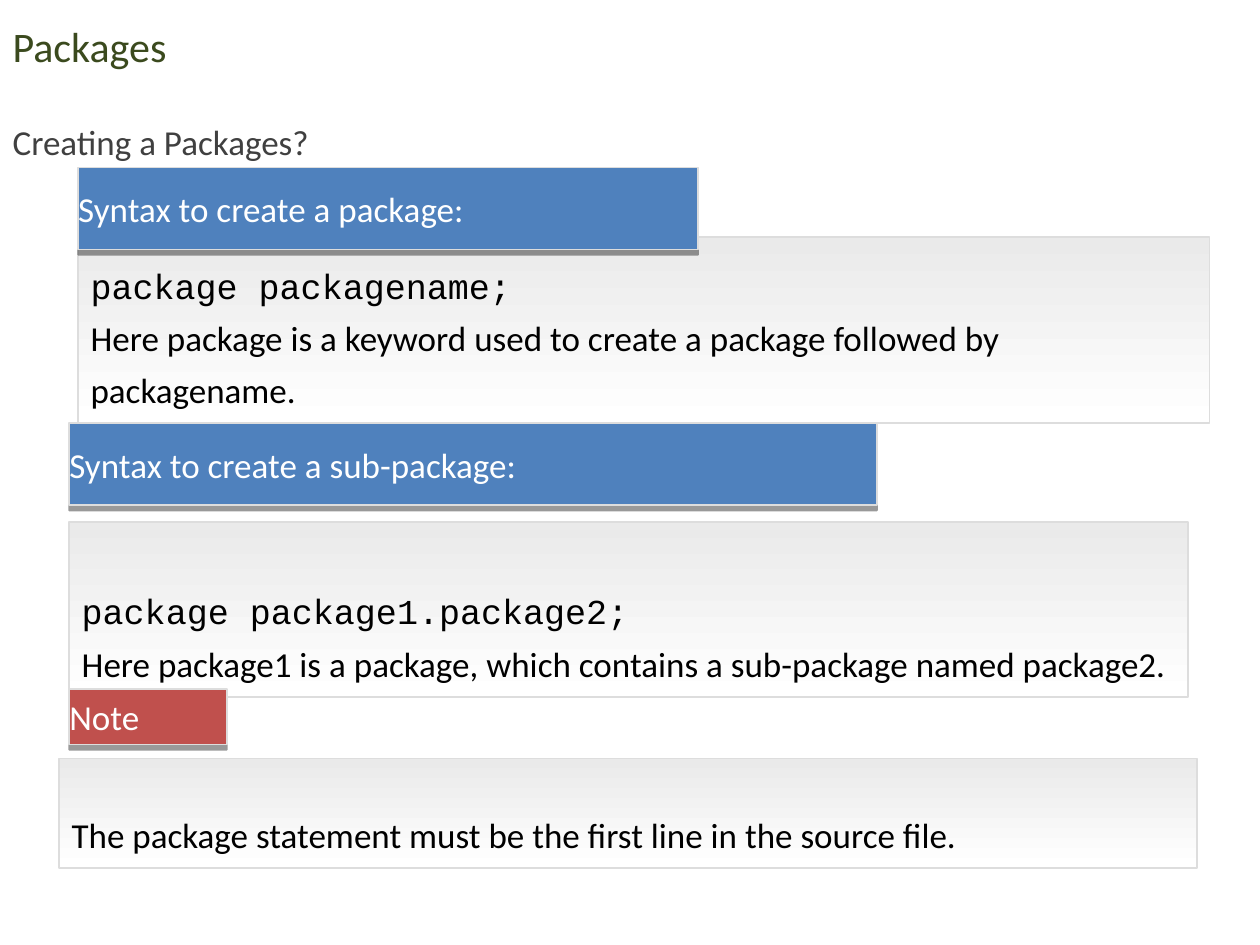
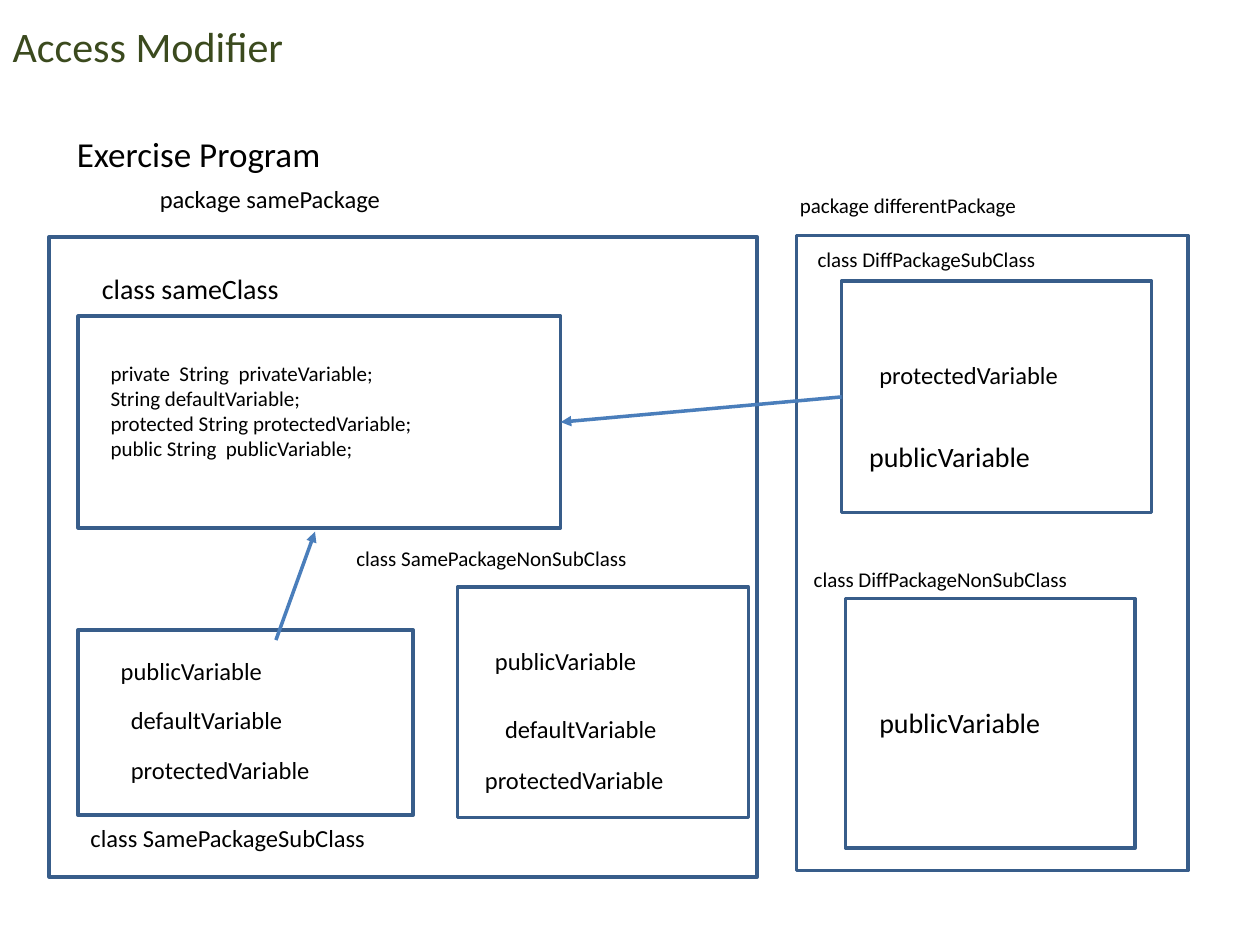
from pptx import Presentation
from pptx.dml.color import RGBColor as Rgb
from pptx.enum.shapes import MSO_CONNECTOR as Link, MSO_SHAPE as Form
from pptx.enum.text import MSO_ANCHOR as Anchor, MSO_AUTO_SIZE as Fit, PP_ALIGN as Align
from pptx.oxml import parse_xml
from pptx.oxml.ns import nsdecls
from pptx.util import Inches, Pt

COLS, ROWS = 100, 75
WIDE, HIGH = Inches(10), Inches(7.5)
SANS, MONO = "Calibri", "Courier New"
HUES = {
    "title": "3B4A1E", "head": "404040", "text": "000000", "white": "FFFFFF",
    "blue": "4F81BD", "red": "C0504D", "top": "EAEAEA", "edge": "DDDDDD",
    "frame": "385D8A", "arrow": "4A7EBB",
}


def hue(name):
    """Return a named colour."""
    return Rgb.from_string(HUES[name])


def grid(x, y, *size):
    """Turn columns and rows into lengths."""
    spots = (x, y, *size)
    units = (WIDE / COLS, HIGH / ROWS) * 2
    return [round(n * unit) for n, unit in zip(spots, units)]


def mark(node, body):
    """Append a drawing element given as XML."""
    node.append(parse_xml(body.replace(">", f" {nsdecls('a')}>", 1)
                          if not body.endswith("/>") or body.count("<") > 1
                          else body.replace("/>", f" {nsdecls('a')}/>")))


def write(shape, lines, size, color="text", anchor=Anchor.TOP, pad=None, lead=None):
    """Fill a shape with lines, each a text or a text and its font."""
    frame = shape.text_frame
    frame.word_wrap = True
    frame.auto_size = Fit.NONE
    frame.vertical_anchor = anchor
    if pad is not None:
        frame.margin_left = frame.margin_right = Inches(pad)
        frame.margin_top = frame.margin_bottom = Inches(pad)
    for i, line in enumerate(lines):
        text, face = (line, SANS) if isinstance(line, str) else line
        para = frame.add_paragraph() if i else frame.paragraphs[0]
        para.alignment = Align.LEFT
        if lead:
            para.line_spacing = lead
        run = para.add_run()
        run.text = text
        run.font.name, run.font.size = face, Pt(size)
        run.font.color.rgb = hue(color)
    return frame.paragraphs[0]


def page(deck, title, spot, head, area, color, lead=None):
    """Add a slide with its title and a plain heading."""
    slide = deck.slides.add_slide(deck.slide_layouts[1])
    name, body = slide.placeholders
    name.left, name.top, name.width, name.height = grid(*spot)
    body.left, body.top, body.width, body.height = grid(*area)
    write(name, [title], 24, "title", Anchor.MIDDLE)
    para = write(body, [head], 20, color, lead=lead)
    para.space_before = Pt(0 if lead else 5)
    props = para._p.get_or_add_pPr()
    props.set("marL", str(Inches(0 if lead else 0.26)))
    props.set("indent", str(Inches(0 if lead else -0.25)))
    mark(props, "<a:buNone/>")
    return slide


def box(slide, spot, edge, width):
    """Add an unfilled rectangle with a border."""
    shape = slide.shapes.add_shape(Form.RECTANGLE, *grid(*spot))
    shape.shadow.inherit = False
    shape.fill.background()
    shape.line.color.rgb, shape.line.width = hue(edge), Pt(width)
    return shape


def panel(slide, spot, lines):
    """Add a shaded panel with text at its foot."""
    shape = box(slide, spot, "edge", 1)
    shape.fill.gradient()
    shape.fill.gradient_angle = 270
    for stop, name, place in zip(shape.fill.gradient_stops, ("top", "white"), (0, 1)):
        stop.color.rgb, stop.position = hue(name), place
    write(shape, lines, 20, anchor=Anchor.BOTTOM, pad=0.1, lead=Pt(29.9))


def tag(slide, spot, text, color="blue"):
    """Add a coloured label with a hard shadow below."""
    shape = box(slide, spot, "edge", 1)
    shape.fill.solid()
    shape.fill.fore_color.rgb = hue(color)
    mark(shape._element.spPr.find("{*}effectLst"),
         f'<a:outerShdw blurRad="0" dist="{Pt(3)}" dir="5400000" algn="t" rotWithShape="0">'
         f'<a:srgbClr val="{HUES["text"]}"><a:alpha val="40000"/></a:srgbClr></a:outerShdw>')
    write(shape, [text], 20, "white", Anchor.MIDDLE, pad=0)


def note(slide, spot, size, *lines):
    """Add a text box."""
    write(slide.shapes.add_textbox(*grid(*spot)), lines, size)


def arrow(slide, start, end):
    """Add an arrow between two points."""
    line = slide.shapes.add_connector(Link.STRAIGHT, *grid(*start), *grid(*end))
    line.line.color.rgb, line.line.width = hue("arrow"), Pt(2)
    mark(line.line._get_or_add_ln(), '<a:tailEnd type="triangle"/>')
    mark(line._element.spPr, "<a:effectLst/>")
    return line


def syntax(deck):
    """Build the slide on creating packages."""
    slide = page(deck, "Packages", (0, 1.1, 90, 5), "Creating a Packages?",
                 (0, 7.4, 48.7, 6), "head", 1.5)
    panel(slide, (6.2, 18.8, 89.8, 14.8), [
        ("package packagename;", MONO),
        "Here package is a keyword used to create a package followed by packagename."])
    tag(slide, (6.2, 13.3, 49.2, 6.5), "Syntax to create a package:")
    panel(slide, (5.5, 41.4, 88.8, 13.9), [
        ("package package1.package2;", MONO),
        "Here package1 is a package, which contains a sub-package named package2."])
    tag(slide, (5.5, 33.6, 64.1, 6.5), "Syntax to create a sub-package:")
    panel(slide, (4.7, 60.2, 90.3, 8.7),
          ["The package statement must be the first line in the source file."])
    tag(slide, (5.5, 54.7, 12.5, 4.4), "Note", "red")


def access(deck):
    """Build the slide on access between packages."""
    slide = page(deck, "Access Modifier", (0, 1.4, 95.5, 4.5), "Exercise Program",
                 (5, 10, 90, 58.8), "text")
    frames = {
        "same": (3.9, 18.8, 56.2, 50.8), "diff": (63.2, 18.7, 31.1, 50.4),
        "class": (6.2, 25.1, 38.3, 16.8), "heir": (66.8, 22.3, 24.6, 18.4),
        "other": (67.1, 47.5, 23, 19.8), "sub": (6.2, 50, 26.6, 14.7),
        "peer": (36.3, 46.6, 23.1, 18.3),
    }
    boxes = {key: box(slide, spot, "frame", 2) for key, spot in frames.items()}
    link = arrow(slide, (66.8, 31.5), (44.5, 33.5))
    link.begin_connect(boxes["heir"], 1)
    link.end_connect(boxes["class"], 3)
    arrow(slide, (21.9, 50.8), (25, 42.2))

    names = [
        (11.7, 14.1, 14, "package samePackage"),
        (62.5, 14.8, 12, "package differentPackage"),
        (7.1, 21.1, 16, "class sameClass"),
        (63.9, 19.1, 12, "class DiffPackageSubClass"),
        (63.6, 44.5, 12, "class DiffPackageNonSubClass"),
        (6.2, 64.8, 14, "class SamePackageSubClass"),
        (27.3, 42.8, 12, "class SamePackageNonSubClass"),
    ]
    public, default, guard = "publicVariable", "defaultVariable", "protectedVariable"
    fields = [
        (38.3, 50.8, 14, public), (39.1, 56.2, 14, default), (37.5, 60.2, 14, guard),
        (8.6, 51.6, 14, public), (9.4, 55.5, 14, default), (9.4, 59.4, 14, guard),
        (68.8, 28.1, 14, guard), (68, 34.4, 16, public), (68.8, 55.5, 16, public),
    ]
    for group, width in ((names, 32), (fields, 21.5)):
        for x, y, size, text in group:
            note(slide, (x, y, width, 3.4), size, text)
    note(slide, (7.8, 28.1, 43, 9.1), 12,
         "private  String  privateVariable;", "String defaultVariable;",
         "protected String protectedVariable;", "public String  publicVariable;")


def main():
    """Build and save the deck."""
    deck = Presentation()
    deck.slide_width, deck.slide_height = WIDE, HIGH
    syntax(deck)
    access(deck)
    deck.save("out.pptx")


if __name__ == "__main__":
    main()
